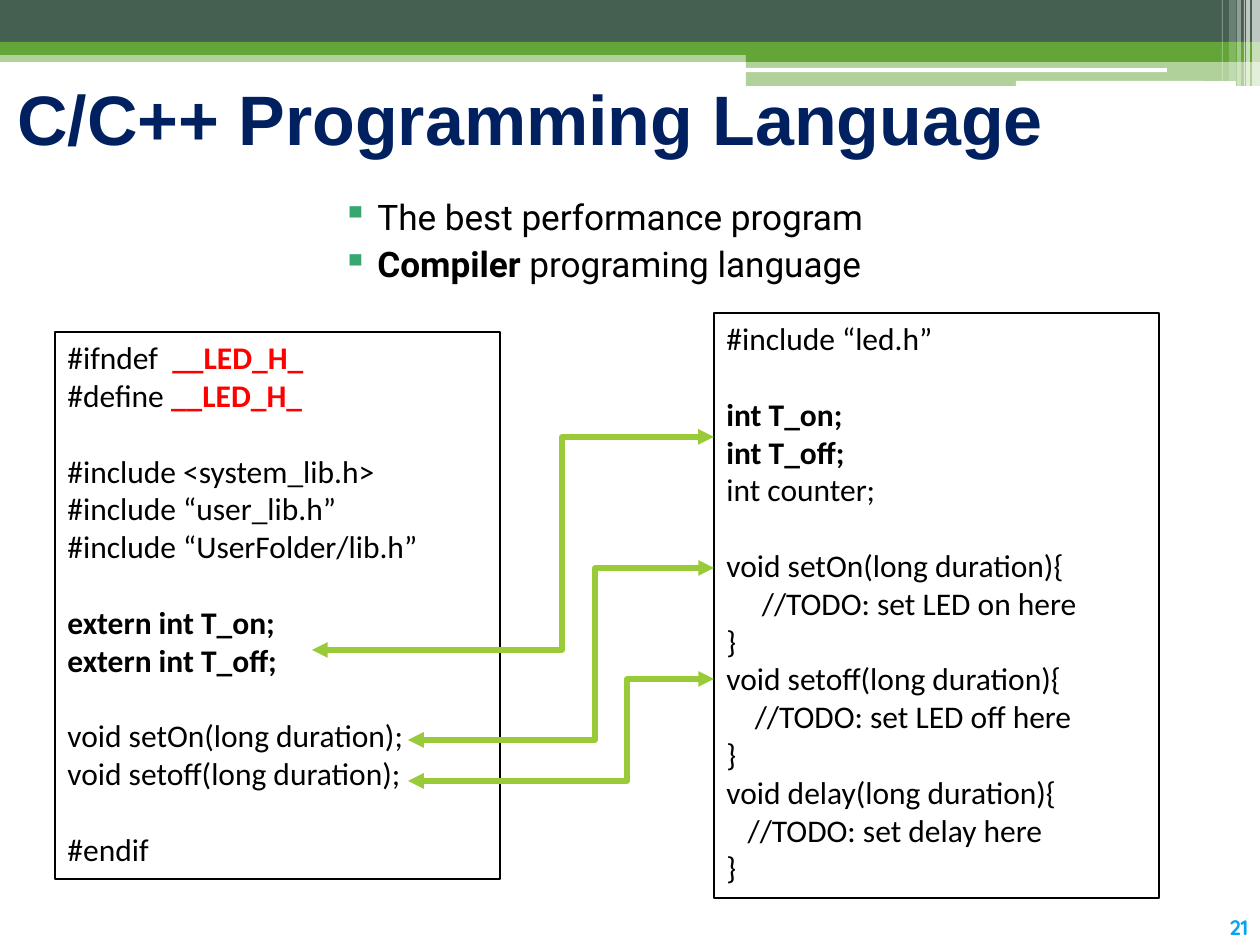
from lxml.etree import SubElement
from pptx import Presentation
from pptx.dml.color import RGBColor
from pptx.enum.shapes import MSO_CONNECTOR, MSO_SHAPE
from pptx.enum.text import MSO_ANCHOR, PP_ALIGN
from pptx.oxml.ns import qn
from pptx.util import Emu, Pt

WHITE = RGBColor(0xFF, 0xFF, 0xFF)
BLACK = RGBColor(0, 0, 0)
RED = RGBColor(0xFF, 0, 0)
SLATE = RGBColor(0x45, 0x5F, 0x51)
GREEN = RGBColor(0x63, 0xA5, 0x37)
LIME = RGBColor(0x99, 0xCB, 0x38)
BULLET_GREEN = RGBColor(0x37, 0xA7, 0x6F)
NAVY = RGBColor(0x00, 0x20, 0x60)
SKY = RGBColor(0x08, 0xA5, 0xEF)

TITLE = "C/C++ Programming Language"
PAGE_NUMBER = "21"
PLAIN, BOLD, GUARD = (False, BLACK), (True, BLACK), (True, RED)

POINTS = [
    [("The best performance program", PLAIN)],
    [("Compiler", BOLD), (" programing language", PLAIN)],
]
HEADER_CODE = [
    [("#ifndef  ", PLAIN), ("__LED_H_", GUARD)],
    [("#define ", PLAIN), ("__LED_H_", GUARD)],
    [],
    [("#include <system_lib.h>", PLAIN)],
    [("#include “user_lib.h”", PLAIN)],
    [("#include “UserFolder/lib.h”", PLAIN)],
    [],
    [("extern int T_on;", BOLD)],
    [("extern int T_off;", BOLD)],
    [],
    [("void setOn(long duration);", PLAIN)],
    [("void setoff(long duration);", PLAIN)],
    [],
    [("#endif", PLAIN)],
]
SOURCE_CODE = [
    [("#include “led.h”", PLAIN)],
    [],
    [("int T_on;", BOLD)],
    [("int T_off;", BOLD)],
    [("int counter;", PLAIN)],
    [],
    [("void setOn(long duration){", PLAIN)],
    [("     //TODO: set LED on here", PLAIN)],
    [("}", PLAIN)],
    [("void setoff(long duration){", PLAIN)],
    [("    //TODO: set LED off here", PLAIN)],
    [("}", PLAIN)],
    [("void delay(long duration){", PLAIN)],
    [("   //TODO: set delay here", PLAIN)],
    [("}", PLAIN)],
]
CODE_PANELS = [
    (HEADER_CODE, (55, 332, 445, 547)),
    (SOURCE_CODE, (714, 313, 445, 585)),
]
BANDS = [
    (MSO_SHAPE.RECTANGLE, (0, 50, 1260, 12), GREEN, 50),
    (MSO_SHAPE.RECTANGLE, (0, 0, 1260, 42), SLATE, 100),
    (MSO_SHAPE.RECTANGLE, (0, 42, 1260, 13), GREEN, 100),
    (MSO_SHAPE.RECTANGLE, (746, 49, 514, 13), GREEN, 100),
    (MSO_SHAPE.RECTANGLE, (746, 61, 514, 25), GREEN, 50),
    (MSO_SHAPE.ROUNDED_RECTANGLE, (745, 68, 422, 4), WHITE, 100),
    (MSO_SHAPE.ROUNDED_RECTANGLE, (1016, 81, 220, 5), WHITE, 100),
]
STRIPES = [
    (1252, 8, 86, 65),
    (1246, 4, 86, 65),
    (1244, 1, 86, 60),
    (1237, 4, 86, 40),
    (1229, 7, 81, 20),
    (1222, 1, 81, 30),
]
BANDS += [(MSO_SHAPE.RECTANGLE, (x, 0, width, height), WHITE, opacity)
          for x, width, height, opacity in STRIPES]
LINKS = [
    ((312, 650), (714, 437), 562),
    ((408, 740), (714, 568), 595),
    ((408, 781), (714, 679), 627),
]


def px(length):
    return Emu(round(length * 914400 / 126))


def place(box):
    return [px(length) for length in box]


def style(font, name, size, bold, color):
    font.name, font.size, font.bold = name, Pt(size), bold
    font.color.rgb = color


def write_lines(frame, lines, name, size):
    frame.text = "\n".join("".join(text for text, _ in line) for line in lines)
    for paragraph, line in zip(frame.paragraphs, lines):
        paragraph.alignment = PP_ALIGN.LEFT
        if not line:
            paragraph.font.size, paragraph.font.name = Pt(size), name
        elif len(line) > 1:
            paragraph.clear()
            for text, _ in line:
                paragraph.add_run().text = text
        for run, (_, look) in zip(paragraph.runs, line):
            style(run.font, name, size, *look)


def add_band(slide, kind, box, color, opacity):
    band = slide.shapes.add_shape(kind, *place(box))
    band.shadow.inherit = False
    band.fill.solid()
    band.fill.fore_color.rgb = color
    band.line.fill.background()
    if opacity < 100:
        tint = band.fill._xPr.find(qn("a:solidFill"))[0]
        SubElement(tint, qn("a:alpha"), val=str(opacity * 1000))


def add_label(slide, box, text, name, size, color):
    label = slide.shapes.add_textbox(*place(box)).text_frame
    label.text = text
    style(label.paragraphs[0].runs[0].font, name, size, True, color)
    return label


def add_points(slide, box):
    points = slide.shapes.add_textbox(*place(box)).text_frame
    points.word_wrap = True
    write_lines(points, POINTS, "Roboto", 20.1)
    for index, paragraph in enumerate(points.paragraphs):
        paragraph.space_before = Pt(3 if index else 0)
        properties = paragraph._p.get_or_add_pPr()
        properties.set("marL", str(px(50)))
        properties.set("indent", str(px(-35)))
        bullet_color = SubElement(properties, qn("a:buClr"))
        SubElement(bullet_color, qn("a:srgbClr"), val=str(BULLET_GREEN))
        SubElement(properties, qn("a:buChar"), char="▪")


def add_panel(slide, code, box):
    panel = slide.shapes.add_shape(MSO_SHAPE.RECTANGLE, *place(box))
    panel.shadow.inherit = False
    panel.fill.background()
    panel.line.color.rgb = BLACK
    panel.line.width = Pt(1.25)
    panel.text_frame.word_wrap = True
    panel.text_frame.vertical_anchor = MSO_ANCHOR.TOP
    write_lines(panel.text_frame, code, "Calibri", 18)


def add_link(slide, start, end, bend):
    link = slide.shapes.add_connector(MSO_CONNECTOR.ELBOW, *place(start + end))
    link.line.color.rgb = LIME
    link.line.width = Pt(3)
    properties = link._element.spPr
    ratio = round((bend - start[0]) / (end[0] - start[0]) * 100000)
    SubElement(properties.find(".//" + qn("a:avLst")), qn("a:gd"),
               name="adj1", fmla=f"val {ratio}")
    for tip in ("a:headEnd", "a:tailEnd"):
        SubElement(properties.find(qn("a:ln")), qn(tip), type="triangle")
    SubElement(properties, qn("a:effectLst"))


def main():
    deck = Presentation()
    deck.slide_width, deck.slide_height = px(1260), px(945)
    slide = deck.slides.add_slide(deck.slide_layouts[6])
    for band in BANDS:
        add_band(slide, *band)
    number = add_label(slide, (1215, 908, 48, 38), PAGE_NUMBER, "Quicksand", 12, SKY)
    number.word_wrap = False
    number.paragraphs[0].alignment = PP_ALIGN.CENTER
    add_points(slide, (315, 189, 587, 91))
    title = add_label(slide, (5, 66, 1241, 103), TITLE, "Arial", 40, NAVY)
    title.word_wrap = True
    title.vertical_anchor = MSO_ANCHOR.MIDDLE
    for code, box in CODE_PANELS:
        add_panel(slide, code, box)
    for link in LINKS:
        add_link(slide, *link)
    deck.save("out.pptx")


if __name__ == "__main__":
    main()
